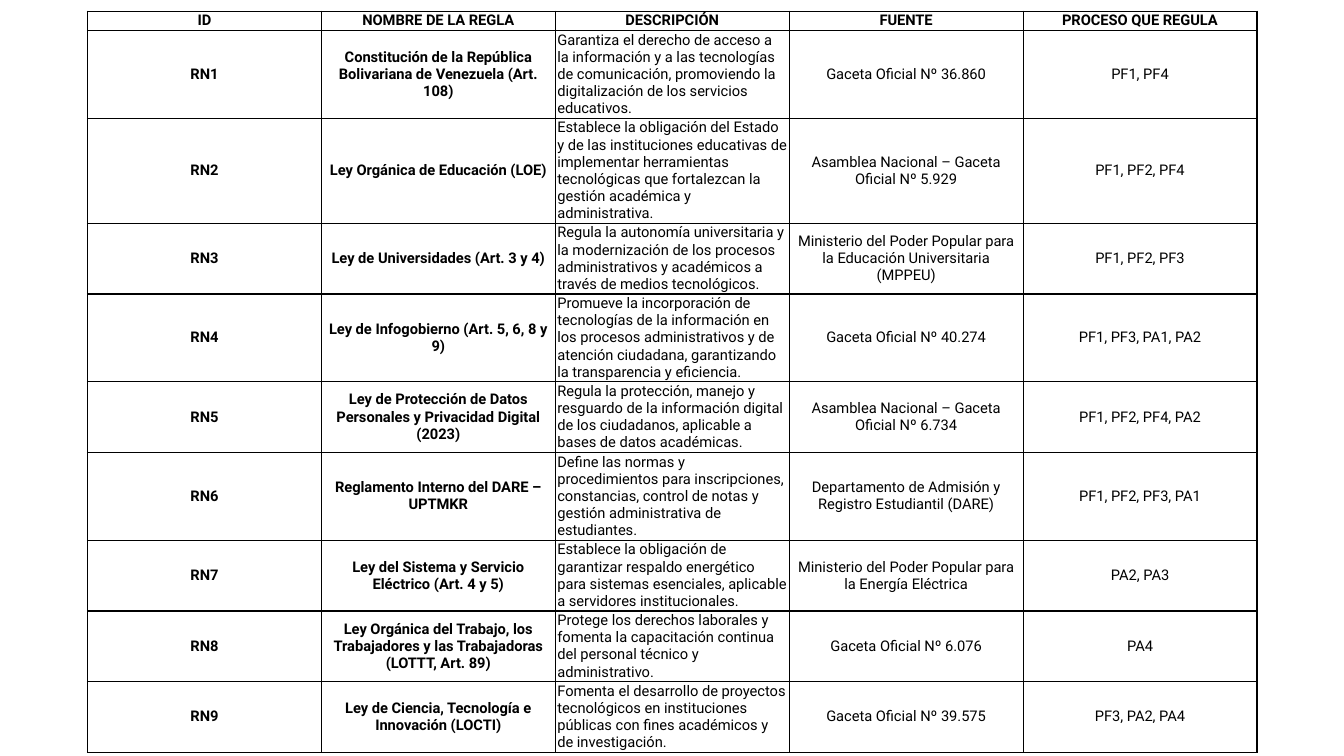
import pptx
import pptx.dml.color
import pptx.enum.text
import pptx.oxml
import pptx.oxml.ns
import pptx.util

Pt = pptx.util.Pt
BLACK = pptx.dml.color.RGBColor(0x00, 0x00, 0x00)
FONT = "Roboto"
DESCRIPTION_COLUMN = 2
HEADINGS = ("ID", "NOMBRE DE LA REGLA", "DESCRIPCIÓN", "FUENTE", "PROCESO QUE REGULA")
RULES = [
    ("Constitución de la República Bolivariana de Venezuela (Art. 108)",
     "Garantiza el derecho de acceso a la información y a las tecnologías de comunicación, "
     "promoviendo la digitalización de los servicios educativos.",
     "Gaceta Oficial Nº 36.860", "PF1, PF4"),
    ("Ley Orgánica de Educación (LOE)",
     "Establece la obligación del Estado y de las instituciones educativas de implementar "
     "herramientas tecnológicas que fortalezcan la gestión académica y administrativa.",
     "Asamblea Nacional – Gaceta Oficial Nº 5.929", "PF1, PF2, PF4"),
    ("Ley de Universidades (Art. 3 y 4)",
     "Regula la autonomía universitaria y la modernización de los procesos administrativos "
     "y académicos a través de medios tecnológicos.",
     "Ministerio del Poder Popular para la Educación Universitaria (MPPEU)", "PF1, PF2, PF3"),
    ("Ley de Infogobierno (Art. 5, 6, 8 y 9)",
     "Promueve la incorporación de tecnologías de la información en los procesos administrativos "
     "y de atención ciudadana, garantizando la transparencia y eficiencia.",
     "Gaceta Oficial Nº 40.274", "PF1, PF3, PA1, PA2"),
    ("Ley de Protección de Datos Personales y Privacidad Digital (2023)",
     "Regula la protección, manejo y resguardo de la información digital de los ciudadanos, "
     "aplicable a bases de datos académicas.",
     "Asamblea Nacional – Gaceta Oficial Nº 6.734", "PF1, PF2, PF4, PA2"),
    ("Reglamento Interno del DARE – UPTMKR",
     "Define las normas y procedimientos para inscripciones, constancias, control de notas "
     "y gestión administrativa de estudiantes.",
     "Departamento de Admisión y Registro Estudiantil (DARE)", "PF1, PF2, PF3, PA1"),
    ("Ley del Sistema y Servicio Eléctrico (Art. 4 y 5)",
     "Establece la obligación de garantizar respaldo energético para sistemas esenciales, "
     "aplicable a servidores institucionales.",
     "Ministerio del Poder Popular para la Energía Eléctrica", "PA2, PA3"),
    ("Ley Orgánica del Trabajo, los Trabajadores y las Trabajadoras (LOTTT, Art. 89)",
     "Protege los derechos laborales y fomenta la capacitación continua del personal técnico "
     "y administrativo.",
     "Gaceta Oficial Nº 6.076", "PA4"),
    ("Ley de Ciencia, Tecnología e Innovación (LOCTI)",
     "Fomenta el desarrollo de proyectos tecnológicos en instituciones públicas con fines "
     "académicos y de investigación.",
     "Gaceta Oficial Nº 39.575", "PF3, PA2, PA4"),
]
ROW_HEIGHTS = [13, 61.2, 61.2, 49.7, 61.2] + [49.7] * 5


def add_borders(cell):
    properties = cell._tc.get_or_add_tcPr()
    for position, side in enumerate(("lnL", "lnR", "lnT", "lnB")):
        border = pptx.oxml.parse_xml(
            f'<a:{side} {pptx.oxml.ns.nsdecls("a")} w="{Pt(1)}"><a:solidFill>'
            f'<a:srgbClr val="{BLACK}"/></a:solidFill></a:{side}>')
        properties.insert(position, border)


def fill_cell(cell, wording, bold, alignment):
    cell.margin_left = cell.margin_right = Pt(1.5)
    cell.margin_top = cell.margin_bottom = Pt(0.75)
    cell.vertical_anchor = pptx.enum.text.MSO_ANCHOR.MIDDLE
    cell.fill.background()
    add_borders(cell)
    cell.text = wording
    paragraph = cell.text_frame.paragraphs[0]
    paragraph.alignment = alignment
    paragraph.font.name = FONT
    paragraph.font.size = Pt(10.5)
    paragraph.font.bold = bold
    paragraph.font.color.rgb = BLACK


def add_rules_table(slide, left, top, width):
    entries = [HEADINGS] + [(f"RN{number}", *rule) for number, rule in enumerate(RULES, 1)]
    rules_table = slide.shapes.add_table(
        len(entries), len(HEADINGS), Pt(left), Pt(top), Pt(width), Pt(sum(ROW_HEIGHTS))).table
    rules_table.first_row = False
    rules_table.horz_banding = False
    for column in rules_table.columns:
        column.width = Pt(width / len(HEADINGS))
    for row, height in zip(rules_table.rows, ROW_HEIGHTS):
        row.height = Pt(height)
    for row_index, entry in enumerate(entries):
        for column_index, wording in enumerate(entry):
            is_heading = row_index == 0
            is_description = column_index == DESCRIPTION_COLUMN and not is_heading
            alignment = (pptx.enum.text.PP_ALIGN.LEFT if is_description
                         else pptx.enum.text.PP_ALIGN.CENTER)
            fill_cell(rules_table.cell(row_index, column_index), wording,
                      is_heading or column_index < DESCRIPTION_COLUMN, alignment)


def main():
    presentation = pptx.Presentation()
    presentation.slide_width = Pt(960)
    presentation.slide_height = Pt(540)
    slide = presentation.slides.add_slide(presentation.slide_layouts[6])
    add_rules_table(slide, 62.5, 8, 835.5)
    presentation.save("out.pptx")


if __name__ == "__main__":
    main()
